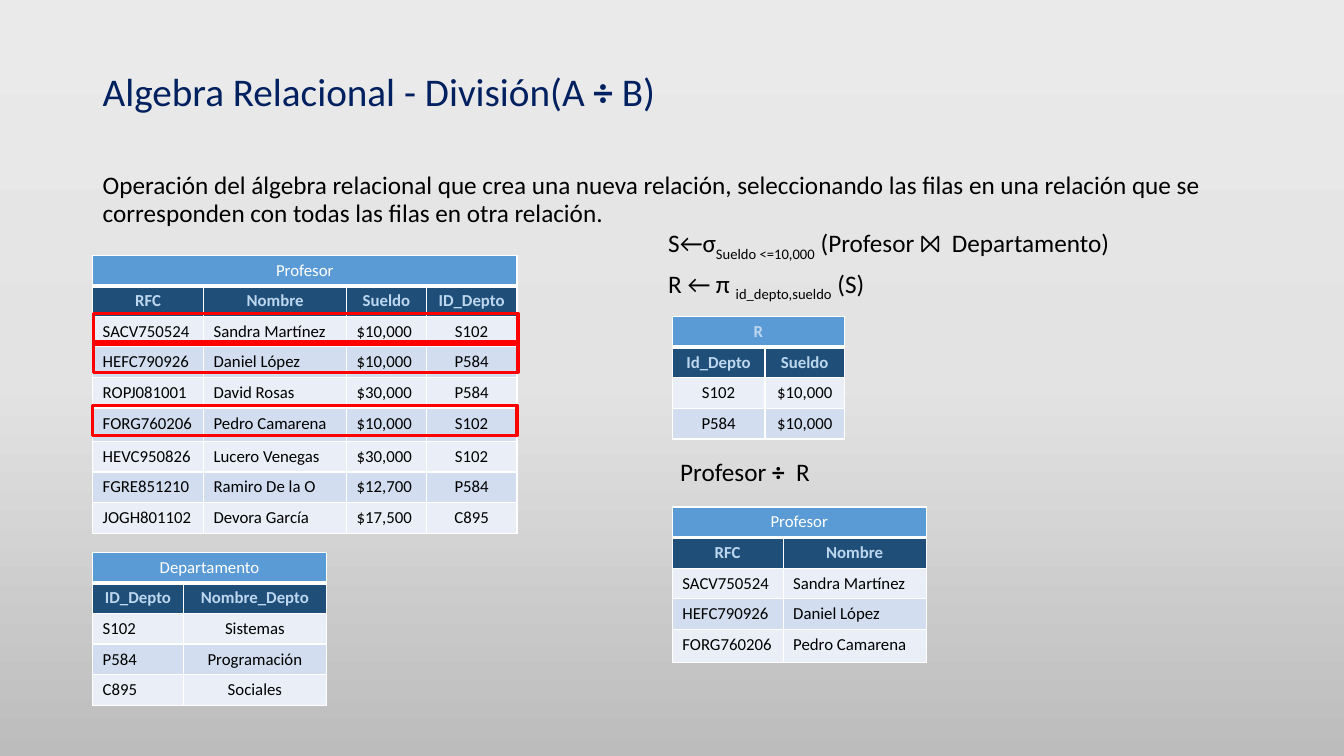
import copy

import pptx
import pptx.dml.color
import pptx.enum.shapes
import pptx.enum.text
import pptx.oxml.ns
import pptx.oxml.xmlchemy
import pptx.util

Pt = pptx.util.Pt
qn = pptx.oxml.ns.qn
new_element = pptx.oxml.xmlchemy.OxmlElement
ALIGN = {"l": pptx.enum.text.PP_ALIGN.LEFT, "c": pptx.enum.text.PP_ALIGN.CENTER}
LEFT_EDGE, RIGHT_EDGE = 66.2, 480.2
ROW, TALL_ROW = 21.86, 23.8
RFC, NOMBRE, SUELDO, ID_DEPTO = 79.2, 102.2, 56.9, 64.8
BANDS = ["EAEFF7", "D2DEEF"]

PROFESORES = [
    ["SACV750524", "Sandra Martínez", "$10,000", "S102"],
    ["HEFC790926", "Daniel López", "$10,000", "P584"],
    ["ROPJ081001", "David Rosas", "$30,000", "P584"],
    ["FORG760206", "Pedro Camarena", "$10,000", "S102"],
    ["HEVC950826", "Lucero Venegas", "$30,000", "S102"],
    ["FGRE851210", "Ramiro De la O", "$12,700", "P584"],
    ["JOGH801102", "Devora García", "$17,500", "C895"],
]
DEPARTAMENTOS = [["S102", "Sistemas"], ["P584", "Programación"], ["C895", "Sociales"]]
DIVISOR = [["S102", "$10,000"], ["P584", "$10,000"]]
COCIENTE = [PROFESORES[i][:2] for i in (0, 1, 3)]


def rgb(value):
    """Turn a hex string into a colour."""
    return pptx.dml.color.RGBColor.from_string(value)


def apply(target, values):
    """Set each named attribute on the target."""
    for name, value in values.items():
        setattr(target, name, value)


def write(paragraph, runs, size, color, align="l", **paragraph_format):
    """Fill a paragraph with (text, style) runs, the style being bold, sub or empty."""
    apply(paragraph, {"alignment": ALIGN[align], "space_before": Pt(0), **paragraph_format})
    for text, style in runs:
        run = paragraph.add_run()
        run.text = text
        apply(run.font, {"name": "Calibri", "size": Pt(size), "bold": style == "bold"})
        run.font.color.rgb = rgb(color)
        if style == "sub":
            run.font._element.set("baseline", "-25000")


def paint_background(slide):
    """Give the slide its vertical grey gradient."""
    fill = slide.background.fill
    fill.gradient()
    fill.gradient_angle = 270
    stops = slide.element.find(".//" + qn("a:gsLst"))
    stops.insert(1, copy.deepcopy(stops[0]))
    for stop, place, color in zip(fill.gradient_stops, (0, 0.5, 1), ("EBEAEA", "E4E3E3", "BDBCBC")):
        stop.position = place
        stop.color.rgb = rgb(color)


def fill_placeholder(placeholder, box, runs, size, color):
    """Move a placeholder into its box and write one unbulleted paragraph."""
    apply(placeholder, dict(zip(("left", "top", "width", "height"), map(Pt, box))))
    apply(placeholder.text_frame, {
        "word_wrap": True,
        "auto_size": pptx.enum.text.MSO_AUTO_SIZE.NONE,
        "vertical_anchor": pptx.enum.text.MSO_ANCHOR.TOP,
    })
    paragraph = placeholder.text_frame.paragraphs[0]
    properties = paragraph._p.get_or_add_pPr()
    properties.set("marL", "0")
    properties.set("indent", "0")
    properties.append(new_element("a:buNone"))
    write(paragraph, runs, size, color, line_spacing=0.9)


def add_expression(slide, box, runs):
    """Write a line of relational algebra in the given box."""
    frame = slide.shapes.add_textbox(*map(Pt, box)).text_frame
    frame.word_wrap = True
    write(frame.paragraphs[0], runs, 18, "000000")


def format_cell(cell, fill, bottom):
    """Give a cell white borders and a solid fill."""
    properties = cell._tc.get_or_add_tcPr()
    for side, width in (("L", 1), ("R", 1), ("T", 1), ("B", bottom)):
        line = new_element("a:ln" + side)
        line.set("w", str(Pt(width)))
        solid = new_element("a:solidFill")
        white = new_element("a:srgbClr")
        white.set("val", "FFFFFF")
        solid.append(white)
        line.append(solid)
        properties.append(line)
    cell.fill.solid()
    cell.fill.fore_color.rgb = rgb(fill)


def add_relation(slide, origin, name, heads, widths, aligns, records, tall=None, name_style=("FFFFFF", "")):
    """Draw a relation as a table: its name, its attributes and its banded records."""
    heights = [TALL_ROW if i == tall else ROW for i in range(len(records) + 2)]
    box = (*origin, sum(widths), sum(heights))
    table = slide.shapes.add_table(len(heights), len(widths), *map(Pt, box)).table
    apply(table, {"first_row": False, "horz_banding": False})
    for column, width in zip(table.columns, widths):
        column.width = Pt(width)
    for row, height in zip(table.rows, heights):
        row.height = Pt(height)
    name_color, name_weight = name_style
    table.cell(0, 0).merge(table.cell(0, len(widths) - 1))
    write(table.cell(0, 0).text_frame.paragraphs[0], [(name, name_weight)], 12, name_color, "c")
    for column in range(len(widths)):
        format_cell(table.cell(0, column), "5B9BD5", 3)
    for i, values in enumerate([heads, *records]):
        for column, value in enumerate(values):
            cell = table.cell(i + 1, column)
            fill, color, weight, align = (
                (BANDS[(i - 1) % 2], "000000", "", aligns[column]) if i else ("1F4E79", "BDD7EE", "bold", "c"))
            format_cell(cell, fill, 1)
            write(cell.text_frame.paragraphs[0], [(value, weight)], 12, color, align)


def add_highlights(slide, origin, width):
    """Frame in red the matching records of the table at the origin."""
    left, top = origin
    for dx, dy in ((0.7, 41.7), (0.7, 61.9), (0, 107.2)):
        frame = slide.shapes.add_shape(
            pptx.enum.shapes.MSO_SHAPE.RECTANGLE, Pt(left + dx), Pt(top + dy), Pt(width), Pt(21.8))
        frame.shadow.inherit = False
        frame.fill.background()
        frame.line.color.rgb = rgb("FF0000")
        frame.line.width = Pt(2.25)


def add_sources(slide, left, top):
    """Place the two source relations and the marked records."""
    widths = [RFC, NOMBRE, SUELDO, ID_DEPTO]
    add_relation(slide, (left, top), "Profesor", ["RFC", "Nombre", "Sueldo", "ID_Depto"],
                 widths, "lllc", PROFESORES, tall=5)
    add_relation(slide, (left, top + 212.3), "Departamento", ["ID_Depto", "Nombre_Depto"],
                 [ID_DEPTO, NOMBRE], "lc", DEPARTAMENTOS)
    add_highlights(slide, (left, top), sum(widths))


def add_division(slide, left, top):
    """Place the expressions with the divisor and the quotient below them."""
    add_expression(slide, (left - 10, top, 356.4, 29), [
        ("S←σ", ""), ("Sueldo <=10,000", "sub"), (" (Profesor ⨝  Departamento)", "")])
    add_expression(slide, (left - 10, top + 29, 172.8, 29), [
        ("R ← π ", ""), ("id_depto,sueldo", "sub"), (" (S)", "")])
    add_relation(slide, (left, top + 67), "R", ["Id_Depto", "Sueldo"], [66.2, SUELDO],
                 "cc", DIVISOR, name_style=("BDD7EE", "bold"))
    add_expression(slide, (left - 1.4, top + 163.4, 112.3, 29), [
        ("Profesor ", ""), ("÷  ", "bold"), ("R", "")])
    add_relation(slide, (left, top + 203), "Profesor", ["RFC", "Nombre"], [RFC, NOMBRE],
                 "ll", COCIENTE, tall=4)


def main():
    """Build and save the slide."""
    deck = pptx.Presentation()
    apply(deck, {"slide_width": Pt(960), "slide_height": Pt(540)})
    slide = deck.slides.add_slide(deck.slide_layouts[1])
    paint_background(slide)
    title, definition = slide.placeholders
    fill_placeholder(title, (LEFT_EDGE, 48.2, 828, 40), [
        ("Algebra Relacional - División(A ", ""), ("÷", "bold"), (" B)", "")], 28, "002060")
    fill_placeholder(definition, (LEFT_EDGE, 120, 828, 48), [
        ("Operación del álgebra relacional que crea una nueva relación, seleccionando las filas "
         "en una relación que se corresponden con todas las filas en otra relación.", "")], 18, "000000")
    add_sources(slide, LEFT_EDGE, 182.2)
    add_division(slide, RIGHT_EDGE, 159.1)
    deck.save("out.pptx")


if __name__ == "__main__":
    main()
